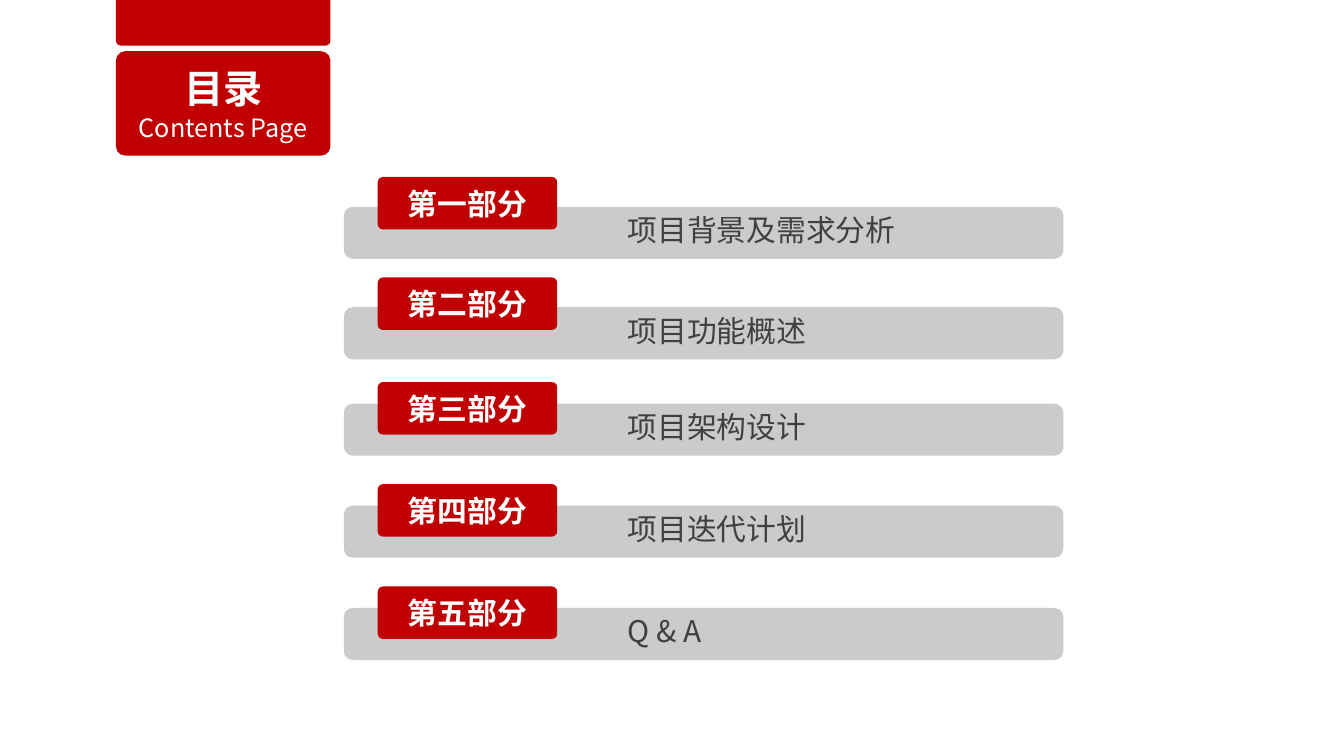
import pptx
import pptx.util
import pptx.dml.color
import pptx.enum.shapes
import pptx.enum.text
import pptx.oxml
import pptx.oxml.ns

Pt = pptx.util.Pt
FONT = "Noto Sans CJK SC"
COLORS = {"red": "C00000", "bar": "CBCBCB", "ink": "404040", "white": "FFFFFF"}
SECTIONS = [
    ("第一部分", "项目背景及需求分析", 147.7, 21.3, 208.8),
    ("第二部分", "项目功能概述", 219.5, 21.3, 144),
    ("第三部分", "项目架构设计", 288.3, 15.4, 144),
    ("第四部分", "项目迭代计划", 361.2, 15.4, 144),
    ("第五部分", "Q & A", 434.3, 15.4, 78.5),
]


def rgb(name):
    return pptx.dml.color.RGBColor.from_string(COLORS[name])


def write(paragraph, text, size=21.3, color="white", bold=False, align="CENTER"):
    paragraph.alignment = getattr(pptx.enum.text.PP_ALIGN, align)
    run = paragraph.add_run()
    run.text = text
    run.font.size = Pt(size)
    run.font.bold = bold
    run.font.color.rgb = rgb(color)
    run.font.name = FONT
    east_asian = pptx.oxml.parse_xml(
        f'<a:ea {pptx.oxml.ns.nsdecls("a")} typeface="{FONT}"/>')
    run.font._element.find(pptx.oxml.ns.qn("a:latin")).addnext(east_asian)


def add_panel(slide, left, top, width, height, color, rounding):
    panel = slide.shapes.add_shape(
        pptx.enum.shapes.MSO_SHAPE.ROUNDED_RECTANGLE,
        Pt(left), Pt(top), Pt(width), Pt(height))
    panel.adjustments[0] = rounding
    panel.shadow.inherit = False
    panel.fill.solid()
    panel.fill.fore_color.rgb = rgb(color)
    panel.line.fill.background()
    panel.text_frame.vertical_anchor = pptx.enum.text.MSO_ANCHOR.MIDDLE
    return panel


def add_section(slide, left, top, width, height, label, topic, lift, topic_width):
    add_panel(slide, left, top, width, height, "bar", 0.17)
    tab = add_panel(slide, left + 24.2, top - lift, 128.2, height + 0.3, "red", 0.1)
    write(tab.text_frame.paragraphs[0], label, bold=True)
    topic_box = slide.shapes.add_textbox(
        Pt(left + 195.7), Pt(top), Pt(topic_width), Pt(33.2))
    topic_box.text_frame.word_wrap = False
    topic_box.text_frame.auto_size = pptx.enum.text.MSO_AUTO_SIZE.SHAPE_TO_FIT_TEXT
    write(topic_box.text_frame.paragraphs[0], topic, color="ink", align="LEFT")


def add_heading(slide, left, top, width, height):
    add_panel(slide, left, top - 44, width, 40, "red", 0.09)
    heading = add_panel(slide, left, top, width, height, "red", 0.09)
    write(heading.text_frame.paragraphs[0], "目录", size=28, bold=True)
    write(heading.text_frame.add_paragraph(), "Contents Page", size=18)


def main():
    deck = pptx.Presentation()
    deck.slide_width, deck.slide_height = Pt(960), Pt(540)
    slide = deck.slides.add_slide(deck.slide_layouts[6])
    for label, topic, top, lift, topic_width in SECTIONS:
        add_section(slide, 245.6, top, 514, 37.2, label, topic, lift, topic_width)
    add_heading(slide, 82.8, 36.6, 153.2, 74.6)
    deck.save("out.pptx")


if __name__ == "__main__":
    main()
